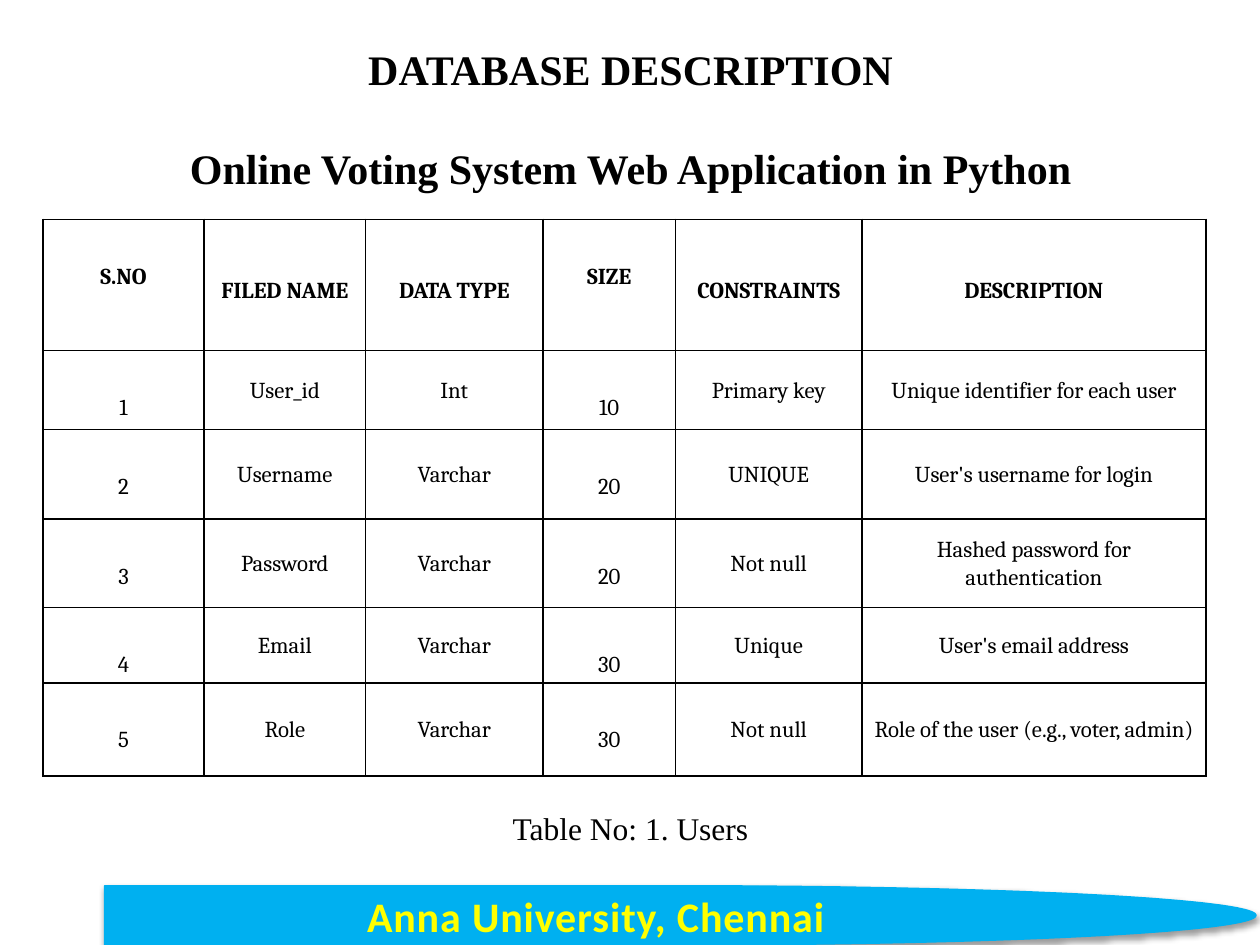
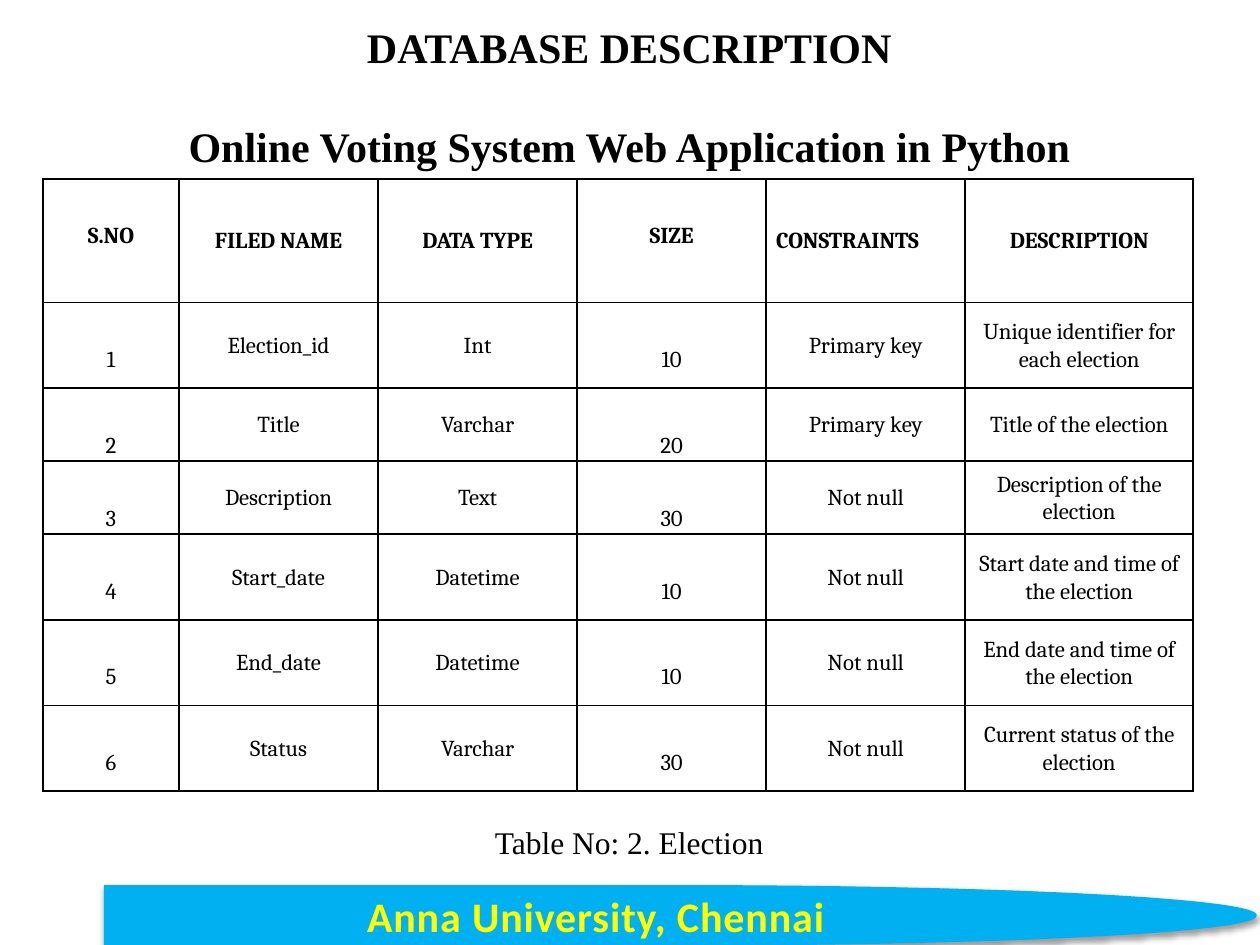
from dataclasses import dataclass

from lxml.etree import SubElement
from pptx import Presentation
from pptx.dml.color import RGBColor
from pptx.enum.shapes import MSO_SHAPE
from pptx.enum.text import MSO_ANCHOR, PP_ALIGN
from pptx.oxml import parse_xml
from pptx.oxml.ns import nsdecls, qn
from pptx.util import Inches, Pt


@dataclass(frozen=True)
class Theme:
    black: str = "000000"
    band: str = "00B0F0"
    band_text: str = "FFFF00"
    band_outline: str = "E78738"
    title_font: str = "Times New Roman"
    table_font: str = "Cambria"
    band_font: str = "Calibri"
    title_size: float = 24
    caption_size: float = 18
    table_size: float = 13


THEME = Theme()
LINE_GAP = 27.6
NUMBER_DROP = 0.34
FOOTER = "Anna University, Chennai"
TITLE = "DATABASE DESCRIPTION"
SUBTITLE = "Online Voting System Web Application in Python"
HEADERS = ["S.NO", "FILED NAME", "DATA TYPE", "SIZE", "CONSTRAINTS", "DESCRIPTION"]
NUMBER_COLUMNS = (HEADERS.index("S.NO"), HEADERS.index("SIZE"))

PAGES = [
    {
        "text_at": (0.04, 0.3, 9.93, 6.93),
        "caption": "Table No: 1. Users",
        "caption_gap": 352,
        "table_at": (0.34, 1.74),
        "columns": [1.28, 1.28, 1.41, 1.05, 1.48, 2.73],
        "row_heights": [1.04, 0.63, 0.71, 0.7, 0.6, 0.74],
        "padding": (0.07, 0.03),
        "left_headers": [],
        "fields": [
            ["User_id", "Int", "10", "Primary key", "Unique identifier for each user"],
            ["Username", "Varchar", "20", "UNIQUE", "User's username for login"],
            ["Password", "Varchar", "20", "Not null", "Hashed password for authentication"],
            ["Email", "Varchar", "30", "Unique", "User's email address"],
            ["Role", "Varchar", "30", "Not null", "Role of the user (e.g., voter, admin)"],
        ],
    },
    {
        "text_at": (0.03, 0.12, 9.93, 6.85),
        "caption": "Table No: 2. Election",
        "caption_gap": 373,
        "table_at": (0.34, 1.42),
        "columns": [1.08, 1.58, 1.58, 1.5, 1.58, 1.81],
        "row_heights": [0.98, 0.68, 0.58, 0.58, 0.68, 0.68, 0.68],
        "padding": (0.08, 0.04),
        "left_headers": ["CONSTRAINTS"],
        "fields": [
            ["Election_id", "Int", "10", "Primary key", "Unique identifier for each election"],
            ["Title", "Varchar", "20", "Primary key", "Title of the election"],
            ["Description", "Text", "30", "Not null", "Description of the election"],
            ["Start_date", "Datetime", "10", "Not null", "Start date and time of the election"],
            ["End_date", "Datetime", "10", "Not null", "End date and time of the election"],
            ["Status", "Varchar", "30", "Not null", "Current status of the election"],
        ],
    },
]


def write_text(frame, text, *, font, size, color=THEME.black, bold=False,
               align=PP_ALIGN.CENTER, before=None, spacing=None):
    para = frame.paragraphs[0] if not frame.text else frame.add_paragraph()
    para.alignment = align
    if before is not None:
        para.space_before = Pt(before)
    if spacing is not None:
        para.line_spacing = spacing
    span = para.add_run()
    span.text = text
    span.font.name = font
    span.font.size = Pt(size)
    span.font.bold = bold
    span.font.color.rgb = RGBColor.from_string(color)
    return span


def outline_cell(cell):
    properties = cell._tc.get_or_add_tcPr()
    for index, side in enumerate(("lnL", "lnR", "lnT", "lnB")):
        properties.insert(index, parse_xml(
            f'<a:{side} {nsdecls("a")} w="{Pt(1)}"><a:solidFill>'
            f'<a:srgbClr val="{THEME.black}"/></a:solidFill></a:{side}>'))


deck = Presentation()
deck.slide_width = Inches(10)
deck.slide_height = Inches(7.5)

for content in PAGES:
    page = deck.slides.add_slide(deck.slide_layouts[6])

    band = page.shapes.add_shape(
        MSO_SHAPE.FLOWCHART_DELAY, Inches(0.83), Inches(7.03), Inches(9.14), Inches(0.47))
    band.fill.solid()
    band.fill.fore_color.rgb = RGBColor.from_string(THEME.band)
    band.line.color.rgb = RGBColor.from_string(THEME.band)
    band.line.width = Pt(0.75)
    band.shadow.inherit = False
    effects = band._element.spPr.find(qn("a:effectLst"))
    shadow = SubElement(effects, qn("a:outerShdw"), blurRad=str(Pt(3.1)),
                        dist=str(Pt(1.6)), dir="5400000", rotWithShape="0")
    shade = SubElement(shadow, qn("a:srgbClr"), val=THEME.black)
    SubElement(shade, qn("a:alpha"), val="38000")
    band.text_frame.word_wrap = True
    band.text_frame.vertical_anchor = MSO_ANCHOR.MIDDLE
    span = write_text(band.text_frame, FOOTER, font=THEME.band_font,
                      size=THEME.title_size, color=THEME.band_text, bold=True)
    span_properties = span.font._element
    span_properties.set("spc", "50")
    span_properties.insert(0, parse_xml(
        f'<a:ln {nsdecls("a")} w="{Pt(1)}"><a:solidFill>'
        f'<a:srgbClr val="{THEME.band_outline}"/></a:solidFill></a:ln>'))

    box = page.shapes.add_textbox(*map(Inches, content["text_at"]))
    box.text_frame.word_wrap = True
    write_text(box.text_frame, TITLE, font=THEME.title_font, size=THEME.title_size, bold=True)
    write_text(box.text_frame, SUBTITLE, font=THEME.title_font, size=THEME.title_size,
               bold=True, before=LINE_GAP)
    write_text(box.text_frame, content["caption"], font=THEME.title_font,
               size=THEME.caption_size, before=content["caption_gap"])

    rows = [HEADERS]
    for number, field in enumerate(content["fields"], 1):
        rows.append([str(number), *field])
    left, top = content["table_at"]
    table = page.shapes.add_table(
        len(rows), len(HEADERS), Inches(left), Inches(top),
        Inches(sum(content["columns"])), Inches(sum(content["row_heights"]))).table
    table.first_row = False
    table.horz_banding = False
    for column, width in zip(table.columns, content["columns"]):
        column.width = Inches(width)
    for row, height in zip(table.rows, content["row_heights"]):
        row.height = Inches(height)

    side, edge = content["padding"]
    for row_index, values in enumerate(rows):
        is_header = row_index == 0
        for column_index, value in enumerate(values):
            cell = table.cell(row_index, column_index)
            if column_index in NUMBER_COLUMNS:
                cell.vertical_anchor = MSO_ANCHOR.TOP
                margins = (0, NUMBER_DROP, 0, 0)
            elif is_header:
                cell.vertical_anchor = MSO_ANCHOR.BOTTOM
                margins = (side, edge, side, edge + NUMBER_DROP)
            else:
                cell.vertical_anchor = MSO_ANCHOR.MIDDLE
                margins = (side, edge, side, edge)
            (cell.margin_left, cell.margin_top,
             cell.margin_right, cell.margin_bottom) = map(Inches, margins)
            cell.fill.background()
            outline_cell(cell)
            align = PP_ALIGN.LEFT if value in content["left_headers"] else PP_ALIGN.CENTER
            write_text(cell.text_frame, value, font=THEME.table_font, size=THEME.table_size,
                       bold=is_header, align=align, spacing=1.07)

deck.save("out.pptx")
